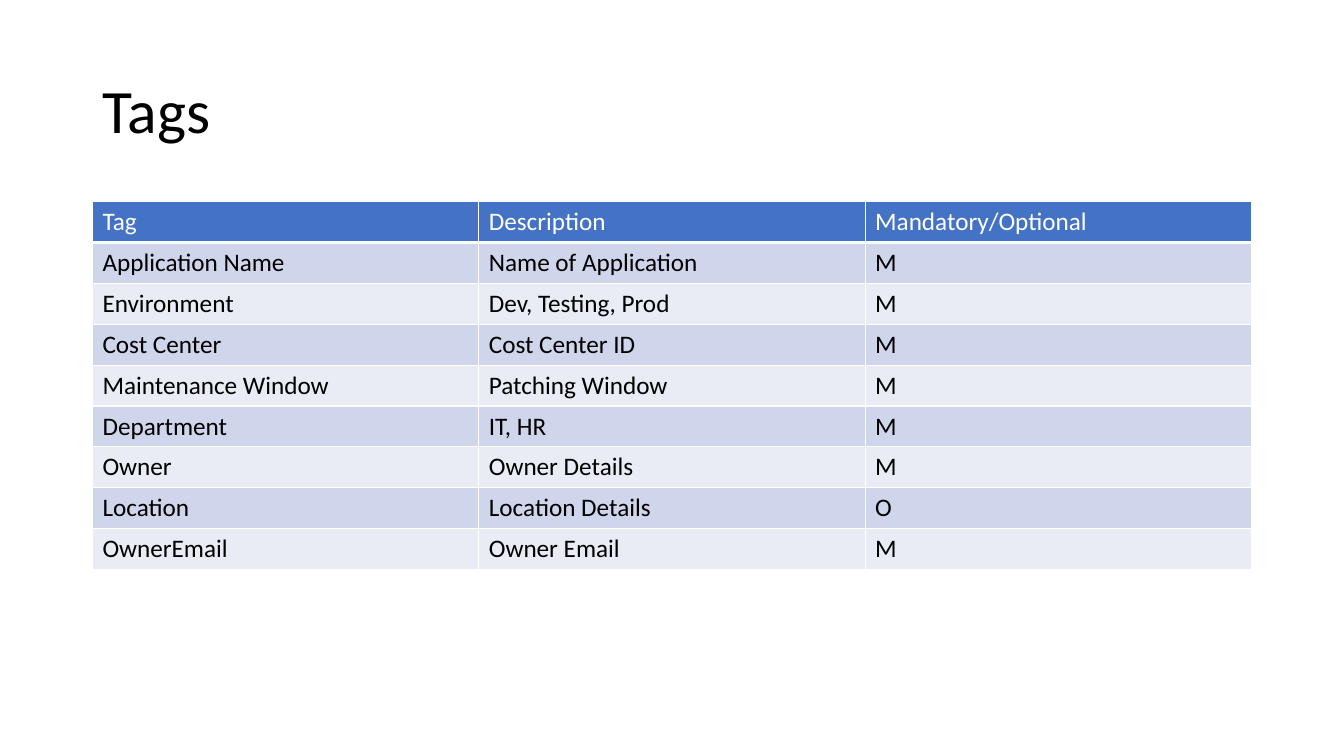
from typing import NamedTuple

from lxml.etree import SubElement
from pptx import Presentation
from pptx.dml.color import RGBColor
from pptx.enum.text import MSO_ANCHOR
from pptx.oxml.ns import qn
from pptx.table import _Cell
from pptx.text.text import _Paragraph
from pptx.util import Cm, Pt

FONT = "Calibri"
BLACK, WHITE = "000000", "FFFFFF"
LEFT, WIDTH = Cm(2.33), Cm(29.21)
ROW_HEIGHT = Cm(1.03)


class Tag(NamedTuple):
    name: str
    description: str
    need: str


class RowStyle(NamedTuple):
    fill: str
    text: str
    bottom_line: float


HEADER = RowStyle("4472C4", WHITE, 3)
BANDS = (RowStyle("CFD5EA", BLACK, 1), RowStyle("E9EBF5", BLACK, 1))

TAGS = [
    Tag("Tag", "Description", "Mandatory/Optional"),
    Tag("Application Name", "Name of Application", "M"),
    Tag("Environment", "Dev, Testing, Prod", "M"),
    Tag("Cost Center", "Cost Center ID", "M"),
    Tag("Maintenance Window", "Patching Window", "M"),
    Tag("Department", "IT, HR", "M"),
    Tag("Owner", "Owner Details", "M"),
    Tag("Location", "Location Details", "O"),
    Tag("OwnerEmail", "Owner Email", "M"),
]


def color(value: str) -> RGBColor:
    return RGBColor.from_string(value)


def write(para: _Paragraph, text: str, size: float, text_color: str) -> None:
    para.text = text
    para.font.name = FONT
    para.font.size = Pt(size)
    para.font.bold = False
    para.font.color.rgb = color(text_color)


def draw_borders(cell: _Cell, bottom_line: float) -> None:
    properties = cell._tc.get_or_add_tcPr()
    for side, width in (("L", 1), ("R", 1), ("T", 1), ("B", bottom_line)):
        line = SubElement(properties, qn(f"a:ln{side}"), w=str(Pt(width)))
        fill = SubElement(line, qn("a:solidFill"))
        SubElement(fill, qn("a:srgbClr"), val=WHITE)


def draw_cell(cell: _Cell, text: str, style: RowStyle) -> None:
    draw_borders(cell, style.bottom_line)
    cell.fill.solid()
    cell.fill.fore_color.rgb = color(style.fill)
    write(cell.text_frame.paragraphs[0], text, 18, style.text)


def main() -> None:
    deck = Presentation()
    deck.slide_width, deck.slide_height = Cm(33.87), Cm(19.05)
    page = deck.slides.add_slide(deck.slide_layouts[6])

    # Title
    title = page.shapes.add_textbox(LEFT, Cm(1.01), WIDTH, Cm(3.68)).text_frame
    title.word_wrap = True
    title.vertical_anchor = MSO_ANCHOR.MIDDLE
    title.paragraphs[0].line_spacing = 0.9
    write(title.paragraphs[0], "Tags", 44, BLACK)

    # Table of tags, header first, then alternating bands
    table = page.shapes.add_table(
        len(TAGS), len(Tag._fields), LEFT, Cm(5.08), WIDTH, ROW_HEIGHT * len(TAGS)
    ).table
    for row_index, tag in enumerate(TAGS):
        style = BANDS[(row_index - 1) % 2] if row_index else HEADER
        for column_index, text in enumerate(tag):
            draw_cell(table.cell(row_index, column_index), text, style)

    deck.save("out.pptx")


if __name__ == "__main__":
    main()
